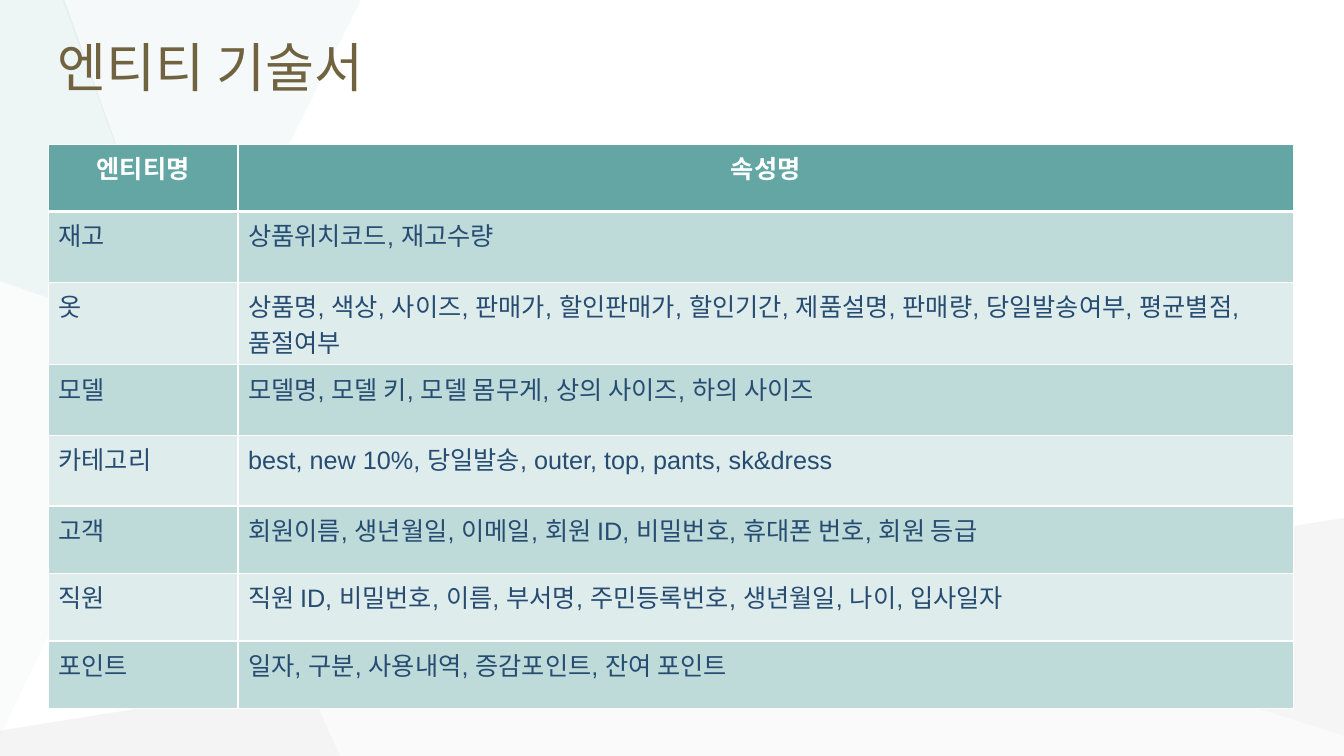
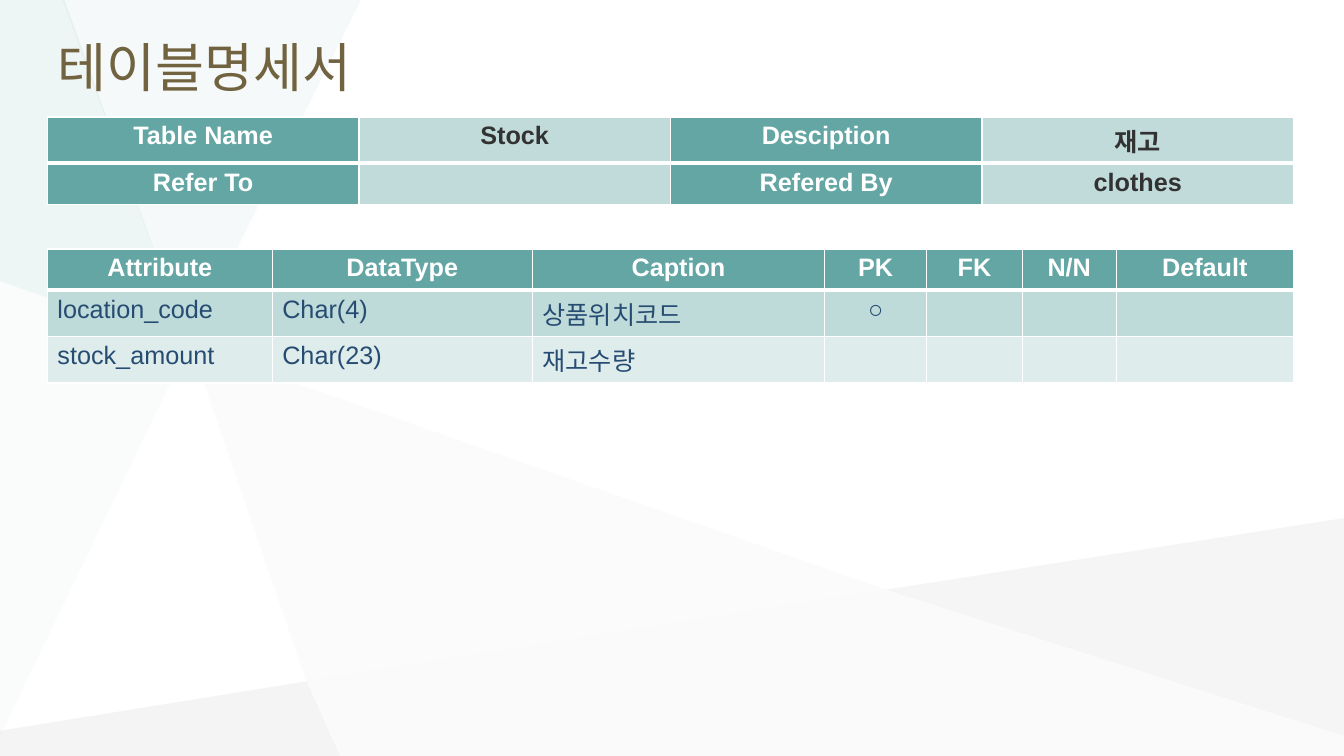
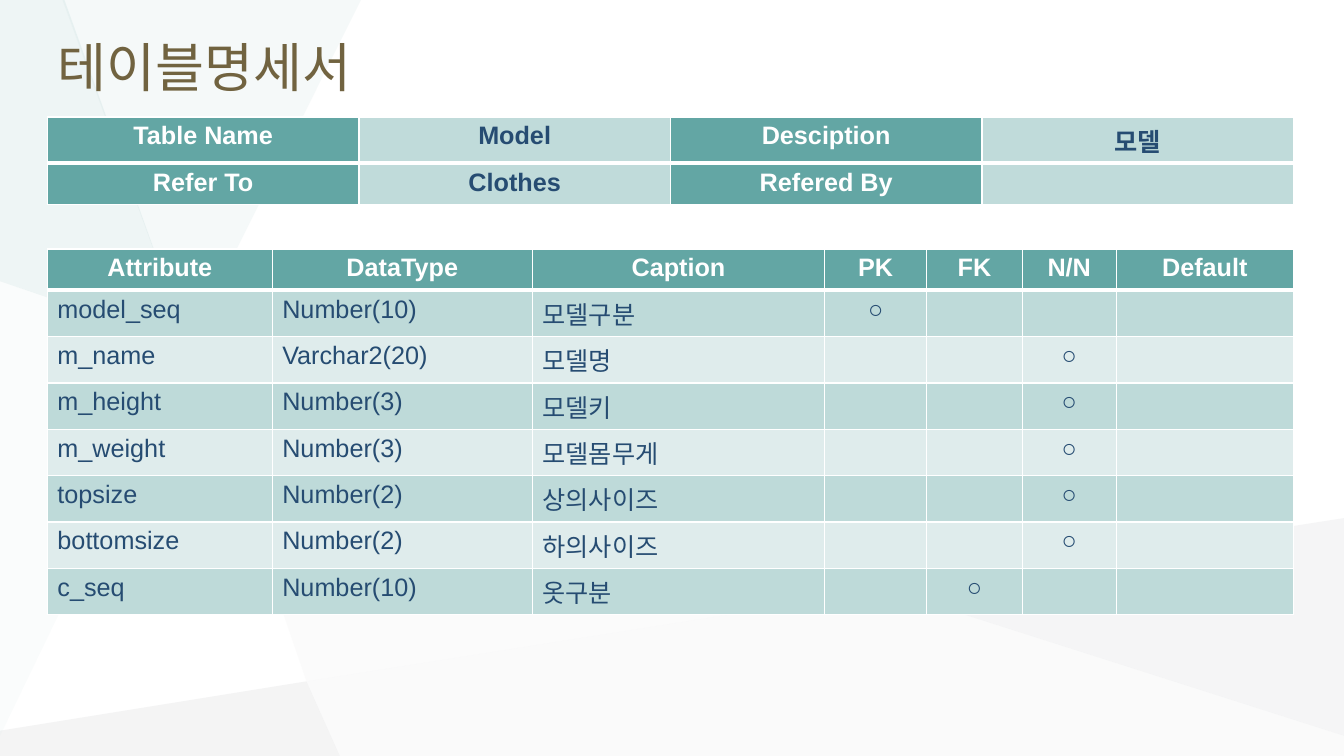
from pptx import Presentation
from pptx.dml.color import RGBColor
from pptx.enum.text import MSO_ANCHOR, PP_ALIGN
from pptx.oxml import parse_xml
from pptx.oxml.ns import nsdecls, qn
from pptx.util import Inches, Pt
from lxml.etree import SubElement

# Shared look
FONT = "Arial"
WHITE, TEAL, NAVY, GRAY, BROWN = "FFFFFF", "63A6A4", "264C72", "323232", "716340"
BANDS = ("BEDAD9", "DFECEC")
LEFT, WIDTH = 0.47, 12.36
LOW, TALL = 0.41, 0.46  # row heights: Latin only, with Korean

# Backdrop facets: colour, opacity in percent, corners
HUB, MID, KNEE = (1.87, 3.43), (3.04, 6.76), (8.79, 5.85)
FACETS = [
    ("F3F2F2", 26, [(1.9, 3.44), MID, KNEE]),
    ("B6B8BA", 15, [MID, (0, 7.25), (0, 7.5), (3.37, 7.5)]),
    ("E0EDED", 31, [(3.58, 0), (0.62, 0), HUB]),
    ("C6C8CA", 17, [(13.33, 5.14), KNEE, (13.33, 7.3)]),
    ("B6B8BA", 6, [KNEE, MID, (3.37, 7.5), (13.33, 7.5), (13.33, 7.3)]),
    ("C1DBDB", 27, [(0.64, 0), (0, 0), (0, 2.79), HUB]),
    ("C1DBDB", 8, [(0, 2.79), (0, 7.3), HUB]),
]

# Slide 1
ENTITY_HEAD = ("엔티티명", "속성명")
ENTITIES = [
    ("재고", "상품위치코드, 재고수량"),
    ("옷", "상품명, 색상, 사이즈, 판매가, 할인판매가, 할인기간, 제품설명, 판매량, "
           "당일발송여부, 평균별점, 품절여부"),
    ("모델", "모델명, 모델 키, 모델 몸무게, 상의 사이즈, 하의 사이즈"),
    ("카테고리", "best, new 10%, 당일발송, outer, top, pants, sk&dress"),
    ("고객", "회원이름, 생년월일, 이메일, 회원 ID, 비밀번호, 휴대폰 번호, 회원 등급"),
    ("직원", "직원 ID, 비밀번호, 이름, 부서명, 주민등록번호, 생년월일, 나이, 입사일자"),
    ("포인트", "일자, 구분, 사용내역, 증감포인트, 잔여 포인트"),
]
ENTITY_COLS = [1.88, 10.47]
ENTITY_ROWS = [0.67, 0.7, 0.82, 0.7, 0.7, 0.67, 0.67, 0.67]

# Slides 2 and 3: each field is name, type, caption, marked column
FIELD_HEAD = ("Attribute", "DataType", "Caption", "PK", "FK", "N/N", "Default")
FIELD_COLS = [2.23, 2.58, 2.9, 1.01, 0.95, 0.93, 1.76]
SPECS = [
    {"ink": GRAY,
     "info": [("Table Name", "Stock", "Desciption", "재고"),
              ("Refer To", "", "Refered By", "clothes")],
     "fields": [("location_code", "Char(4)", "상품위치코드", "PK"),
                ("stock_amount", "Char(23)", "재고수량", "")]},
    {"ink": NAVY,
     "info": [("Table Name", "Model", "Desciption", "모델"),
              ("Refer To", "Clothes", "Refered By", "")],
     "fields": [("model_seq", "Number(10)", "모델구분", "PK"),
                ("m_name", "Varchar2(20)", "모델명", "N/N"),
                ("m_height", "Number(3)", "모델키", "N/N"),
                ("m_weight", "Number(3)", "모델몸무게", "N/N"),
                ("topsize", "Number(2)", "상의사이즈", "N/N"),
                ("bottomsize", "Number(2)", "하의사이즈", "N/N"),
                ("c_seq", "Number(10)", "옷구분", "FK")]},
]


def paint(fill, color, alpha=100):
    fill.solid()
    fill.fore_color.rgb = RGBColor.from_string(color)
    if alpha < 100:
        clr = fill._xPr.find(qn("a:solidFill"))[0]
        SubElement(clr, qn("a:alpha")).set("val", str(alpha * 1000))


def write(frame, text, size, color, bold=False, align=PP_ALIGN.LEFT):
    para = frame.paragraphs[0]
    para.alignment = align
    run = para.add_run()
    run.text = text
    font = run.font
    font.name, font.size, font.bold = FONT, Pt(size), bold
    font.color.rgb = RGBColor.from_string(color)


def edge(cell, row):
    """White cell borders, with a thick rule below the first row."""
    widths = {"L": 1, "R": 1, "T": 3 if row == 1 else 1, "B": 3 if row == 0 else 1}
    props = cell._tc.get_or_add_tcPr()
    for side, width in widths.items():
        props.append(parse_xml(
            f'<a:ln{side} {nsdecls("a")} w="{Pt(width)}"><a:solidFill>'
            f'<a:srgbClr val="{WHITE}"/></a:solidFill></a:ln{side}>'))


def add_grid(slide, left, top, cols, heights, rows, style):
    """style(row, col) gives fill, opacity, text colour, bold, alignment."""
    frame = slide.shapes.add_table(
        len(rows), len(cols), Inches(left), Inches(top),
        Inches(sum(cols)), Inches(sum(heights)))
    table = frame.table
    for col, width in zip(table.columns, cols):
        col.width = Inches(width)
    for r, texts in enumerate(rows):
        table.rows[r].height = Inches(heights[r])
        for c, text in enumerate(texts):
            cell = table.cell(r, c)
            fill, alpha, ink, bold, align = style(r, c)
            edge(cell, r)
            paint(cell.fill, fill, alpha)
            if text:
                write(cell.text_frame, text, 18, ink, bold, align)


def banded(row, col):
    if row == 0:
        return TEAL, 100, WHITE, True, PP_ALIGN.CENTER
    align = PP_ALIGN.CENTER if col > 2 else PP_ALIGN.LEFT
    return BANDS[(row - 1) % 2], 100, NAVY, False, align


def add_page(deck, title):
    slide = deck.slides.add_slide(deck.slide_layouts[6])
    # Backdrop
    for color, alpha, spots in FACETS:
        spots = [(Inches(x), Inches(y)) for x, y in spots]
        path = slide.shapes.build_freeform(*spots[0])
        path.add_line_segments(spots[1:], close=True)
        facet = path.convert_to_shape()
        facet.shadow.inherit = False
        facet.line.fill.background()
        paint(facet.fill, color, alpha)
    # Title
    box = slide.shapes.add_textbox(
        Inches(LEFT), Inches(0.14), Inches(WIDTH), Inches(1.03))
    box.text_frame.word_wrap = True
    box.text_frame.vertical_anchor = MSO_ANCHOR.MIDDLE
    write(box.text_frame, title, 38, BROWN)
    return slide


def add_spec(deck, spec):
    slide = add_page(deck, "테이블명세서")
    # Attribute table
    rows = [FIELD_HEAD]
    for *texts, key in spec["fields"]:
        rows.append(texts + ["○" if head == key else "" for head in FIELD_HEAD[3:]])
    heights = [LOW] + [TALL] * len(spec["fields"])
    add_grid(slide, LEFT, 2.47, FIELD_COLS, heights, rows, banded)

    # Summary table: labels and values alternate
    def paired(row, col):
        alpha, ink = (40, spec["ink"]) if col % 2 else (100, WHITE)
        return TEAL, alpha, ink, True, PP_ALIGN.CENTER

    add_grid(slide, LEFT, 1.16, [WIDTH / 4] * 4, [TALL, LOW], spec["info"], paired)


def main():
    deck = Presentation()
    deck.slide_width, deck.slide_height = Inches(13.33), Inches(7.5)
    slide = add_page(deck, "엔티티 기술서")
    add_grid(slide, 0.48, 1.43, ENTITY_COLS, ENTITY_ROWS,
             [ENTITY_HEAD] + ENTITIES, banded)
    for spec in SPECS:
        add_spec(deck, spec)
    deck.save("out.pptx")


if __name__ == "__main__":
    main()
